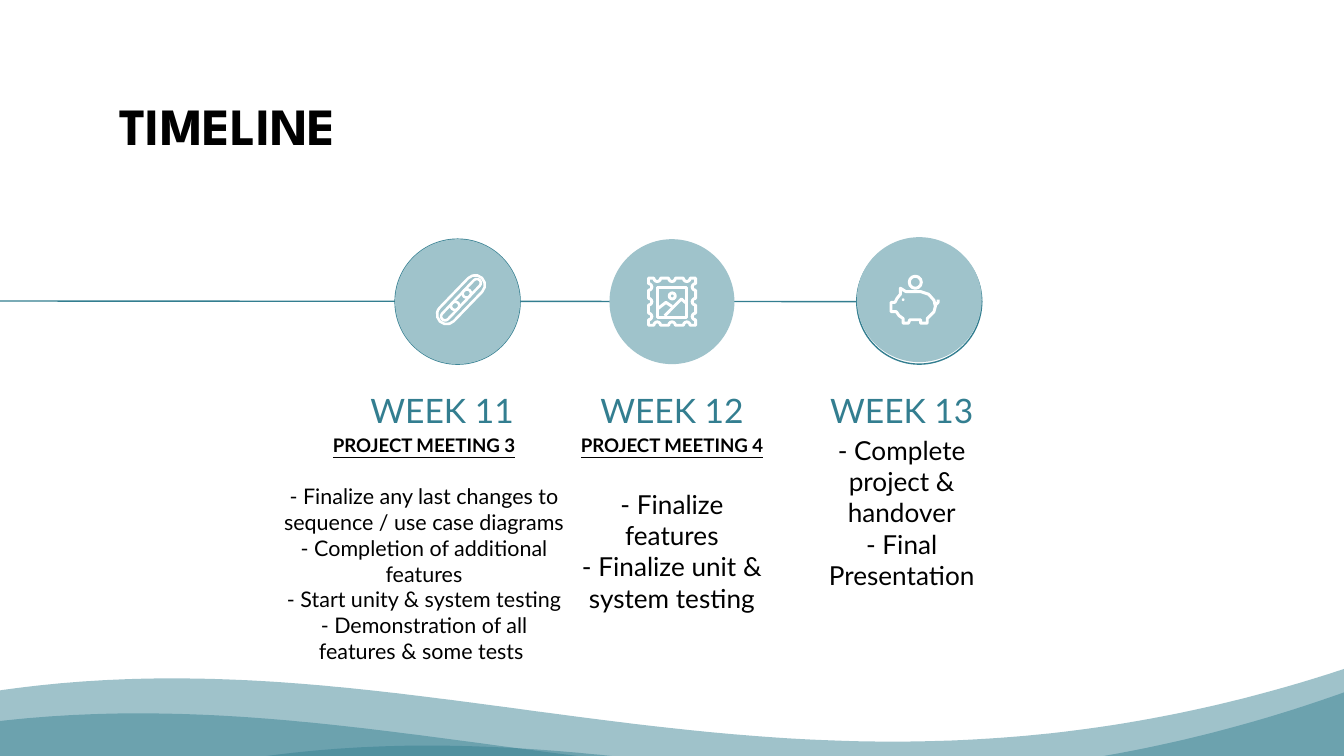
from math import cos, pi, sin
from lxml.etree import SubElement
from pptx import Presentation
from pptx.dml.color import RGBColor
from pptx.enum.shapes import MSO_CONNECTOR, MSO_SHAPE
from pptx.enum.text import MSO_ANCHOR, PP_ALIGN
from pptx.oxml.ns import qn
from pptx.util import Inches, Pt

TEAL = RGBColor(0x33, 0x7E, 0x90)
PALE = RGBColor(0x9F, 0xC3, 0xCB)
WHITE = RGBColor(0xFF, 0xFF, 0xFF)
BLACK = RGBColor(0, 0, 0)

deck = Presentation()
deck.slide_width = W = Inches(10)
deck.slide_height = W * 9 // 16
COLS = 100
CELL = W / COLS
slide = deck.slides.add_slide(deck.slide_layouts[6])
shapes = slide.shapes


def span(*cells):
    """Turn grid cells into slide lengths."""
    return [round(CELL * n) for n in cells]


def paint(shape, fill=None, edge=None, width=0.75):
    shape.shadow.inherit = False
    if fill is None:
        shape.fill.background()
    else:
        shape.fill.solid()
        shape.fill.fore_color.rgb = fill
    if edge is None:
        shape.line.fill.background()
    else:
        shape.line.color.rgb = edge
        shape.line.width = Pt(width)


# Waves: a cubic curve closed at the lower right corner, turned and bled off
CURVE = [(141.5, 0), (97.4, 118.2), (39.1, 69.85), (0, 139.7)]
CORNER = (141.5, 139.7)
STEPS = 200
for left, top in [(10.3, -25.2), (-11.2, -27.6), (-8.7, -30.2)]:
    crest = []
    for step in range(STEPS + 1):
        t = step / STEPS
        parts = ((1 - t) ** 3, 3 * t * (1 - t) ** 2, 3 * t * t * (1 - t), t ** 3)
        x = left + sum(k * p[0] for k, p in zip(parts, CURVE))
        y = top + sum(k * p[1] for k, p in zip(parts, CURVE))
        crest.append(span(x, y))
    pen = shapes.build_freeform(*span(left + CORNER[0], top + CORNER[1]), scale=1)
    pen.add_line_segments(crest, close=True)
    wave = pen.convert_to_shape()
    wave.rotation = 30.5
    paint(wave, TEAL)
    color = wave._element.spPr.find(qn("a:solidFill"))[0]
    SubElement(color, qn("a:alpha")).set("val", "47000")

# White discs and the line behind the steps
DISC = 9.3
for x in (63.75, 29.4):
    paint(shapes.add_shape(MSO_SHAPE.OVAL, *span(x, 17.8, DISC, DISC)), WHITE, TEAL)
track = shapes.add_connector(MSO_CONNECTOR.STRAIGHT, *span(-0.9, 22.4, 73.1, 22.45))
track.line.color.rgb = TEAL
track.line.width = Pt(0.75)
SubElement(track._element.spPr, qn("a:effectLst"))
for x, y in [(45.35, 17.8), (63.75, 17.65), (29.4, 17.8)]:
    paint(shapes.add_shape(MSO_SHAPE.OVAL, *span(x, y, DISC, DISC)), PALE)

# Text boxes: place, then lines of (text, size, color, font, heading, space before)
LEFT, MID = PP_ALIGN.LEFT, PP_ALIGN.CENTER
texts = [((7.9, 5.95, 32.5, 12.4), LEFT, 1,
          [("TIMELINE", 28, BLACK, "League Spartan", False, 0)])]
weeks = [
    ("WEEK 11", 24.8, 19.9, 23.3, "PROJECT MEETING 3", 11.5, 14.4,
     ["- Finalize any last changes to sequence / use case diagrams",
      "- Completion of additional features",
      "- Start unity & system testing",
      "- Demonstration of all features & some tests "]),
    ("WEEK 12", 41.9, 41.85, 16.3, "PROJECT MEETING 4", 14, 16.8,
     ["- Finalize features", "- Finalize unit & system testing"]),
    ("WEEK 13", 59, 58.95, 16.3, None, 14, 0,
     ["- Complete project & handover", "- Final Presentation"]),
]
for week, x, left, wide, head, size, gap, tasks in weeks:
    texts.append(((x, 27.6, 16.2, 4.6), MID, 1.15, [(week, 18, TEAL, "Lato", False, 0)]))
    lines = [(head, 10, BLACK, "Lato", True, 0)] if head else []
    for i, task in enumerate(tasks):
        lines.append((task, size, BLACK, "Lato", False, 0 if i else gap))
    texts.append(((left, 31.3, wide, 11.1), MID, 1, lines))

for place, align, pitch, lines in texts:
    frame = shapes.add_textbox(*span(*place)).text_frame
    frame.word_wrap = True
    frame.vertical_anchor = MSO_ANCHOR.TOP
    frame.margin_left = frame.margin_right = round(CELL)
    frame.margin_top = frame.margin_bottom = round(CELL)
    for i, (words, size, color, face, head, gap) in enumerate(lines):
        para = frame.add_paragraph() if i else frame.paragraphs[0]
        para.alignment = align
        para.line_spacing = pitch
        para.space_before = Pt(gap)
        run = para.add_run()
        run.text = words
        run.font.size = Pt(size)
        run.font.name = face
        run.font.color.rgb = color
        run.font.bold = head or face == "League Spartan"
        run.font.underline = head

# Chain icon: an outer pill and three slots, by center and size
for x, y, wide, high in [(34.3, 22.3, 4.5, 1.45), (35.1, 21.45, 1.7, 0.6),
                         (34.3, 22.3, 1.9, 0.6), (33.5, 23.15, 1.7, 0.6)]:
    pill = shapes.add_shape(MSO_SHAPE.ROUNDED_RECTANGLE,
                            *span(x - wide / 2, y - high / 2, wide, high))
    pill.adjustments[0] = 0.5
    pill.rotation = -46
    paint(pill, None, WHITE, 1.4)

# Stamp edge: one side with three bites, turned four times about the center
side = [(-1.75, -1.75)]
for mid in (-1.1, 0, 1.1):
    side += [(mid - 0.25 * cos(k * pi / 6), -1.75 + 0.25 * sin(k * pi / 6))
             for k in range(7)]
stamp = []
for turn in range(4):
    stamp += [(50 + x, 22.45 + y) for x, y in side]
    side = [(-y, x) for x, y in side]

pig = [(67, 21.45), (67.4, 21.7), (68.5, 21.7), (69.1, 21.9), (69.5, 22.35),
       (69.6, 22.8), (69.5, 23.2), (69, 23.7), (69, 24.05), (68.5, 24.05),
       (68.5, 23.8), (67.7, 23.8), (67.6, 24.05), (67.2, 24.05), (67.2, 23.7),
       (66.9, 23.5), (66.7, 23.2), (66.3, 23.2), (66.3, 22.5), (66.6, 22.5),
       (66.75, 22.2), (67, 21.9)]
tail = [(69.6, 22.7), (69.8, 22.5), (69.8, 22.3)]
hills = [(48.9, 23), (49.55, 22.5), (50, 22.8)]
peak = [(49.45, 23.5), (50.7, 22.25), (51.1, 22.6)]
for points, closed in [(stamp, True), (pig, True), (tail, False),
                       (hills, False), (peak, False)]:
    spots = [span(*point) for point in points]
    pen = shapes.build_freeform(*spots[0], scale=1)
    pen.add_line_segments(spots[1:], close=closed)
    paint(pen.convert_to_shape(), None, WHITE, 1.6)

# Stamp frame, sun, coin and eye
for kind, place, fill in [(MSO_SHAPE.RECTANGLE, (48.9, 21.4, 2.2, 2.2), None),
                          (MSO_SHAPE.OVAL, (49.8, 21.8, 0.45, 0.45), None),
                          (MSO_SHAPE.OVAL, (67.65, 20.55, 0.9, 0.9), None),
                          (MSO_SHAPE.OVAL, (67.1, 22.2, 0.2, 0.2), WHITE)]:
    mark = shapes.add_shape(kind, *span(*place))
    paint(mark, fill, None if fill else WHITE, 1.6)

deck.save("out.pptx")
